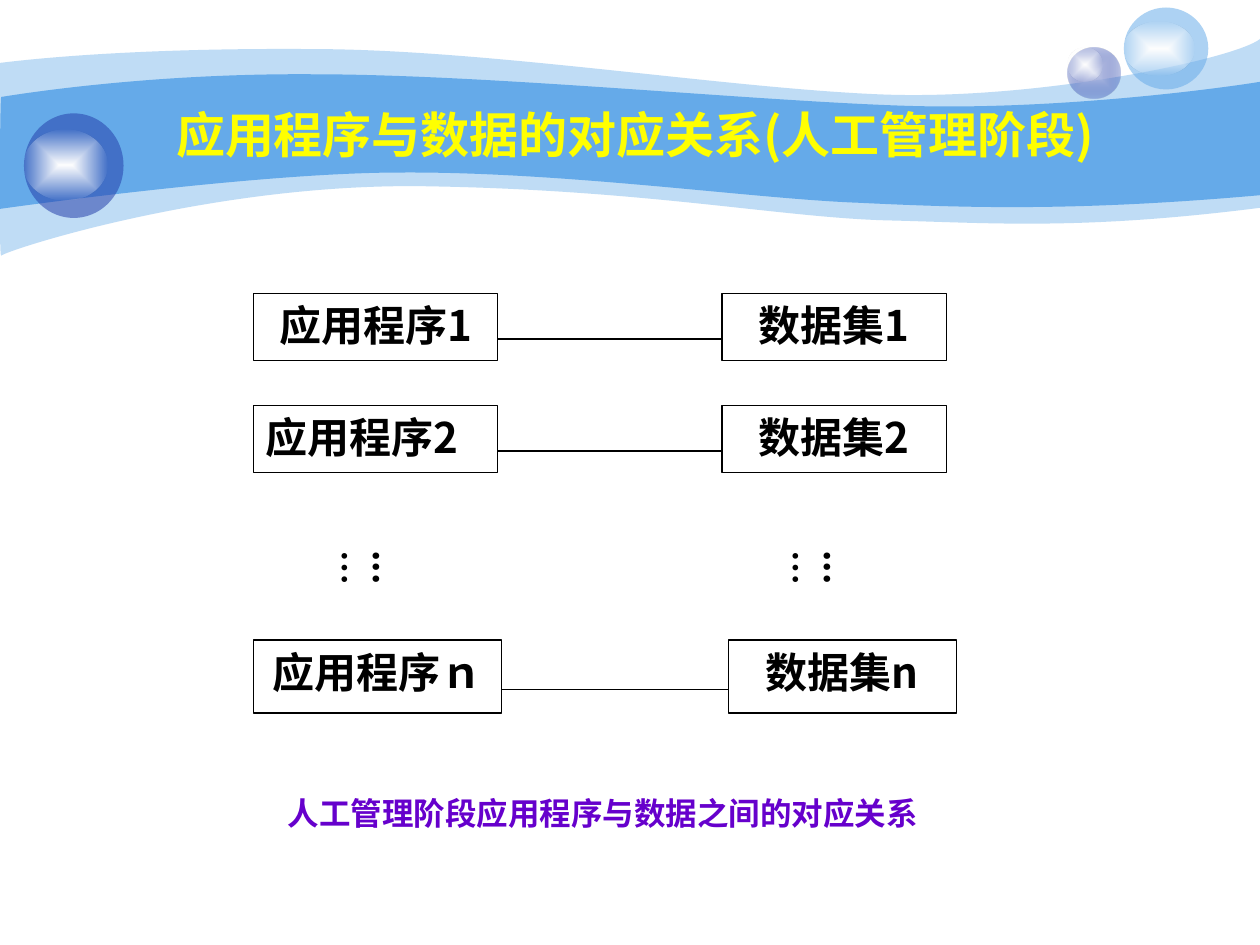
from pptx import Presentation, util as u
from pptx.dml.color import RGBColor
from pptx.enum import shapes, text
from pptx.oxml import parse_xml
from pptx.oxml.ns import qn
from lxml import etree

NS = "http://schemas.openxmlformats.org/drawingml/2006/main"
FONT = "Noto Sans CJK SC"
BLACK = RGBColor(0, 0, 0)
WHITE = RGBColor(255, 255, 255)
YELLOW = RGBColor(255, 255, 0)
PURPLE = RGBColor(0x66, 0, 0xCC)
SKY = RGBColor(0x65, 0xAA, 0xE9)
NAVY = RGBColor(0x23, 0x3D, 0xA9)
MIST = RGBColor(0xC7, 0xCE, 0xE9)

TITLE = "应用程序与数据的对应关系(人工管理阶段)"
CAPTION = "人工管理阶段应用程序与数据之间的对应关系"
DOTS = "...…"
LEFT = 2.01
CENTER, JUSTIFY = text.PP_ALIGN.CENTER, text.PP_ALIGN.JUSTIFY
ROWS = [
    ("应用程序1", "数据集1", CENTER, 2.33, 0.53, (1.94, 1.78, 1.78), 0.36),
    ("应用程序2", "数据集2", JUSTIFY, 3.22, 0.53, (1.94, 1.78, 1.78), 0.36),
    ("应用程序ｎ", "数据集n", CENTER, 5.08, 0.58, (1.97, 1.8, 1.81), 0.39),
]
WAVES = [
    (41, (0, 0.5), [
        (0.24, 0.47, 1.07, 0.38, 2.47, 0.39), (3.86, 0.39, 5.75, 0.7, 6.99, 0.75),
        (8.22, 0.8, 9.8, 0.47, 10, 0.31), (10, 1.65),
        (8.58, 1.83, 7.87, 1.77, 7.05, 1.75), (6.22, 1.73, 5.15, 1.51, 3.43, 1.48),
        (1.72, 1.44, 0.04, 1.99, 0.01, 2.03), (-0.01, 2.08, 0, 0.75, 0, 0.5)]),
    (100, (0.01, 0.77), [
        (0.02, 0.77, 1.1, 0.58, 2.48, 0.59), (3.86, 0.59, 5.95, 0.8, 7.18, 0.84),
        (8.41, 0.88, 9.76, 0.69, 10, 0.65), (10, 1.55),
        (8.53, 1.68, 7.65, 1.65, 6.82, 1.61), (5.99, 1.58, 4.47, 1.36, 3.17, 1.37),
        (2.03, 1.37, -0.02, 1.66, -0.01, 1.66), (0, 1.66, 0, 0.77, 0.01, 0.77)]),
]
GLOW = [(WHITE, 100), (WHITE, 0)]
BUBBLES = [
    ((8.47, 0.38, 0.42, 0.4), [(MIST, 100), (NAVY, 31)]),
    ((8.47, 0.38, 0.28, 0.27), GLOW),
    ((8.92, 0.06, 0.67, 0.65), [(SKY, 53)]),
    ((8.92, 0.17, 0.56, 0.43), GLOW),
    ((0.19, 0.9, 0.79, 0.83), [(NAVY, 53)]),
    ((0.19, 1.03, 0.66, 0.56), GLOW),
]


def inches(*values):
    return [u.Inches(value) for value in values]


def paint(shape, stops):
    colors = [f'<a:srgbClr val="{color}"><a:alpha val="{alpha * 1000}"/></a:srgbClr>'
              for color, alpha in stops]
    if len(colors) == 1:
        xml = f'<a:solidFill xmlns:a="{NS}">{colors[0]}</a:solidFill>'
    else:
        marks = "".join(f'<a:gs pos="{i * 100000}">{c}</a:gs>' for i, c in enumerate(colors))
        xml = (f'<a:gradFill xmlns:a="{NS}" rotWithShape="1"><a:gsLst>{marks}</a:gsLst>'
               '<a:path path="rect"><a:fillToRect l="50000" t="50000" r="50000" b="50000"/>'
               '</a:path></a:gradFill>')
    shape.element.spPr.insert(2, parse_xml(xml))
    shape.line.fill.background()
    shape.shadow.inherit = False


def add_wave(page, start, segments):
    points = [tuple(inches(*segment[i:i + 2]))
              for segment in segments for i in range(0, len(segment), 2)]
    builder = page.shapes.build_freeform(*inches(*start))
    builder.add_line_segments(points, close=True)
    wave = builder.convert_to_shape()
    lines = iter(list(wave.element.iter(qn("a:lnTo"))))
    for segment in segments:
        first = next(lines)
        if len(segment) == 2:
            continue
        curve = etree.Element(qn("a:cubicBezTo"))
        first.addprevious(curve)
        for line in (first, next(lines), next(lines)):
            curve.append(line[0])
            line.getparent().remove(line)
    return wave


def write(shape, words, size, color, align=None):
    frame = shape.text_frame
    frame.text = words
    para = frame.paragraphs[0]
    para.alignment = align
    span = para.runs[0]
    span.font.size = u.Pt(size)
    span.font.bold = True
    span.font.name = FONT
    span.font.color.rgb = color
    etree.SubElement(span.font._element, qn("a:ea")).set("typeface", FONT)
    return frame


def add_box(page, words, at, align):
    box = page.shapes.add_shape(shapes.MSO_SHAPE.RECTANGLE, *inches(*at))
    box.shadow.inherit = False
    box.fill.solid()
    box.fill.fore_color.rgb = WHITE
    box.line.color.rgb = BLACK
    box.line.width = u.Pt(0.75)
    write(box, words, 24, BLACK, align).vertical_anchor = text.MSO_ANCHOR.TOP


def add_link(page, start, end, y):
    link = page.shapes.add_connector(shapes.MSO_CONNECTOR.STRAIGHT, *inches(start, y, end, y))
    link.line.color.rgb = BLACK
    link.line.width = u.Pt(0.75)
    etree.SubElement(link.element.spPr, qn("a:effectLst"))


def add_dots(page, left):
    box = page.shapes.add_textbox(*inches(left, 4.17, 0.86, 0.67))
    frame = write(box, DOTS, 20, BLACK)
    frame.word_wrap = True
    frame.margin_left = frame.margin_right = u.Inches(0.05)
    frame.margin_top, frame.margin_bottom = inches(0.2, 0)
    frame._txBody.bodyPr.set("vert", "eaVert")


def main():
    deck = Presentation()
    deck.slide_width, deck.slide_height = inches(10, 7.5)
    page = deck.slides.add_slide(deck.slide_layouts[5])

    for alpha, start, segments in WAVES:
        paint(add_wave(page, start, segments), [(SKY, alpha)])
    for at, stops in BUBBLES:
        paint(page.shapes.add_shape(shapes.MSO_SHAPE.OVAL, *inches(*at)), stops)

    title = page.shapes.title
    title.left, title.top, title.width, title.height = inches(1, 0.75, 8.08, 0.62)
    write(title, TITLE, 28, YELLOW, CENTER).vertical_anchor = text.MSO_ANCHOR.MIDDLE
    page.shapes.element.append(title.element)

    for program, data, align, top, height, widths, drop in ROWS:
        program_width, gap, data_width = widths
        start = LEFT + program_width
        end = start + gap
        add_box(page, program, (LEFT, top, program_width, height), align)
        add_box(page, data, (end, top, data_width, height), CENTER)
        add_link(page, start, end, top + drop)
    for left in (2.43, 6.01):
        add_dots(page, left)

    caption = page.shapes.add_textbox(*inches(1.75, 6.25, 6.07, 0.4))
    write(caption, CAPTION, 18, PURPLE, CENTER).word_wrap = False
    deck.save("out.pptx")


if __name__ == "__main__":
    main()
